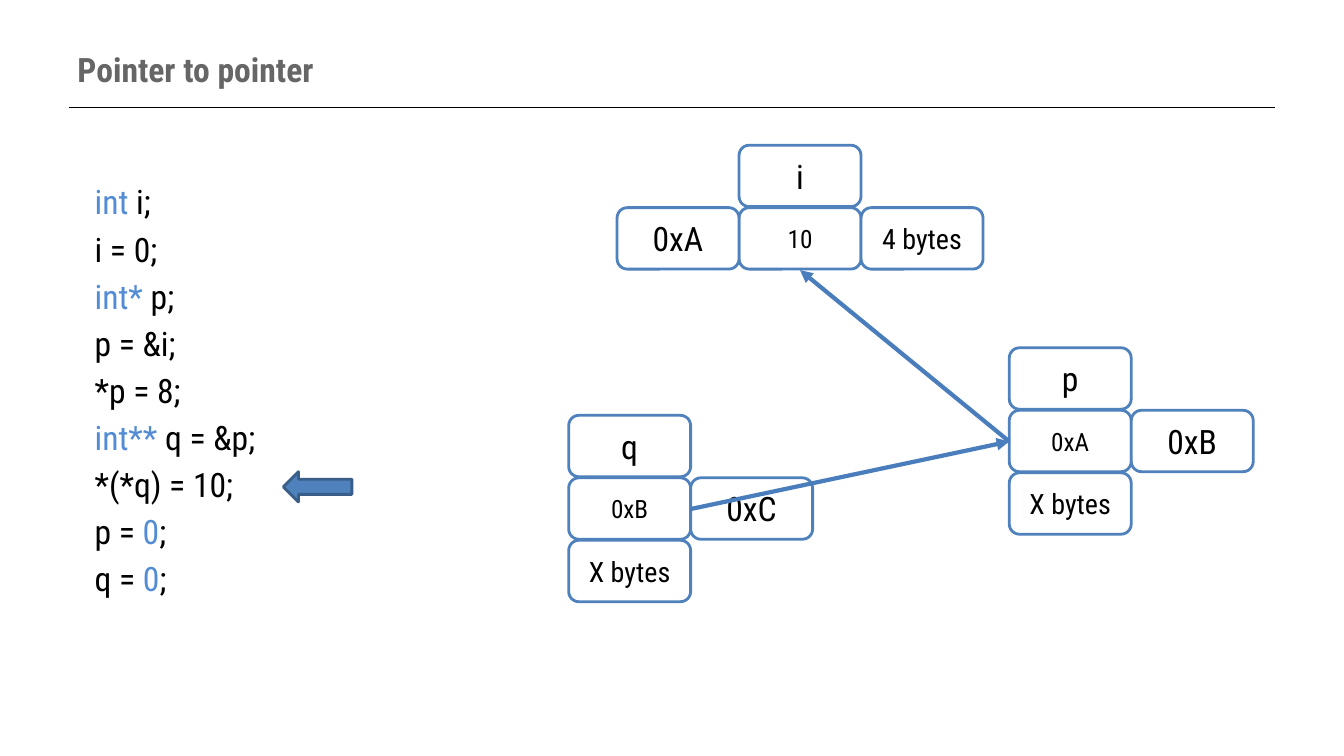
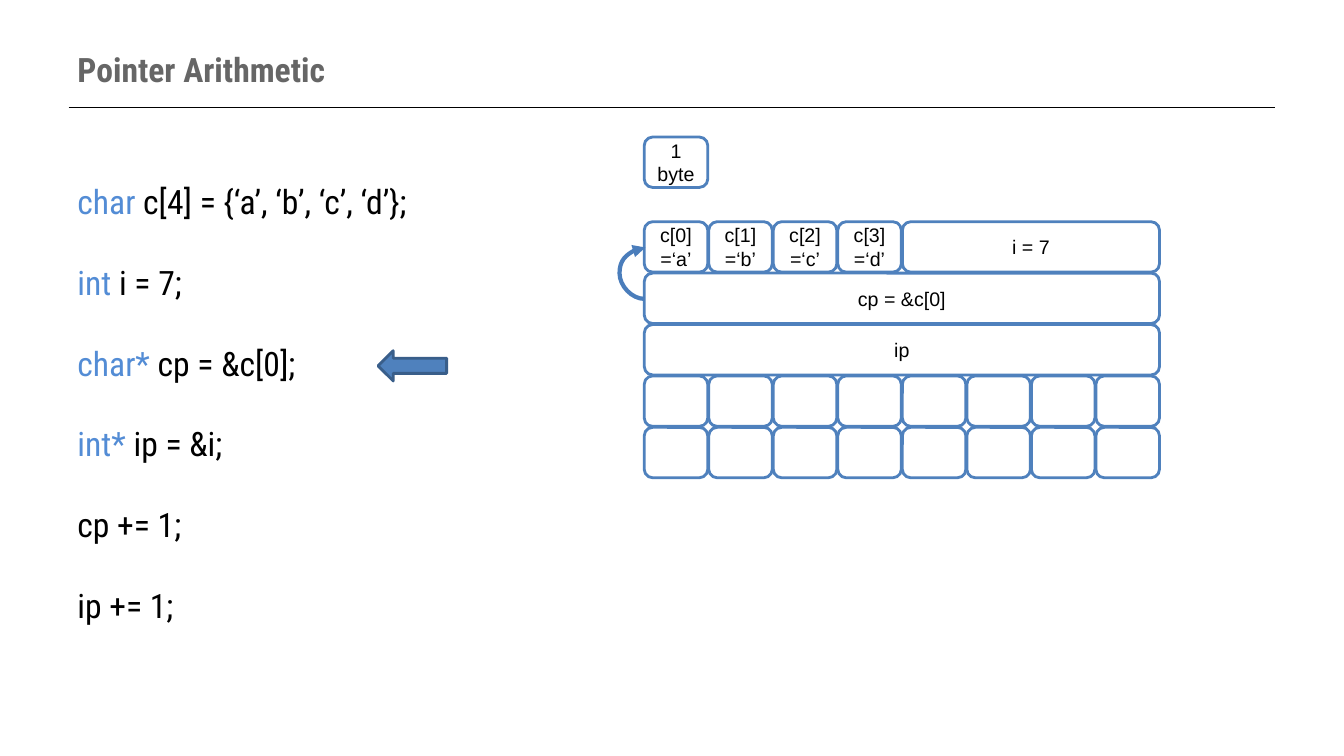
from pptx import Presentation
from pptx.dml.color import RGBColor
from pptx.enum.shapes import MSO_CONNECTOR, MSO_SHAPE
from pptx.enum.text import MSO_ANCHOR, PP_ALIGN
from pptx.oxml.ns import qn
from pptx.util import Inches, Pt
from lxml.etree import SubElement

FONT, CELL_FONT = "Roboto Condensed", "Arial"
BLACK, WHITE, GREY = "000000", "FFFFFF", "666666"
CODE_BLUE, BLUE, DARK_BLUE, ARROW_BLUE = "538CD5", "4F81BD", "395E8A", "4A7DBB"
HIGHLIGHTED = {"int", "int*", "int**", "char", "char*", "0"}

NAME_SIZE, VALUE_SIZE, NOTE_SIZE = 24, 18, 20
BOX_WIDTH, BOX_HEIGHT, BOX_ROW = 1.21, 0.61, 0.62
BYTE_LEFT, BYTE_TOP = 6.39, 2.2
BYTE_COLUMN, BYTE_ROW, BYTE_GAP = 0.64, 0.51, 0.01
BYTES_PER_ROW = 8


def colour(value):
    return RGBColor.from_string(value)


def style_span(span, size, value, font=FONT, bold=False):
    span.font.size = Pt(size)
    span.font.name = font
    span.font.bold = bold
    span.font.color.rgb = colour(value)


def style_line(line, value, width):
    line.color.rgb = colour(value)
    line.width = Pt(width)


def add_text_box(page, left, top, width, height):
    box = page.shapes.add_textbox(*map(Inches, (left, top, width, height)))
    box.text_frame.word_wrap = True
    return box.text_frame


def add_line(page, start, end, value, width, kind=MSO_CONNECTOR.STRAIGHT, arrow=True):
    line = page.shapes.add_connector(kind, *map(Inches, (*start, *end)))
    style_line(line.line, value, width)
    if arrow:
        SubElement(line.line._get_or_add_ln(), qn("a:tailEnd"), type="triangle")
    SubElement(line._element.spPr, qn("a:effectLst"))
    return line


def add_loop_arrow(page, left, top, bottom, bulge):
    width = 0.01
    loop = add_line(page, (left, top), (left + width, bottom), ARROW_BLUE, 3,
                    MSO_CONNECTOR.CURVE)
    properties = loop._element.spPr
    frame = properties.find(qn("a:xfrm"))
    frame.set("rot", "10800000")
    frame.set("flipH", "1")
    guides = properties.find(qn("a:prstGeom")).get_or_add_avLst()
    share = round(-bulge / width * 100000)
    SubElement(guides, qn("a:gd"), name="adj1", fmla=f"val {share}")


def add_shape(page, kind, left, top, width, height, fill, line):
    shape = page.shapes.add_shape(kind, *map(Inches, (left, top, width, height)))
    shape.shadow.inherit = False
    shape.fill.solid()
    shape.fill.fore_color.rgb = colour(fill)
    style_line(shape.line, line, 2)
    return shape


def add_cell(page, left, top, width, height, text, size, font=FONT):
    cell = add_shape(page, MSO_SHAPE.ROUNDED_RECTANGLE, left, top, width, height, WHITE, BLUE)
    if text:
        frame = cell.text_frame
        frame.word_wrap = True
        frame.vertical_anchor = MSO_ANCHOR.MIDDLE
        frame.text = text
        para = frame.paragraphs[0]
        para.alignment = PP_ALIGN.CENTER
        style_span(para.runs[0], size, BLACK, font)


def add_step_arrow(page, left, top):
    add_shape(page, MSO_SHAPE.LEFT_ARROW, left, top, 0.68, 0.3, BLUE, DARK_BLUE)


def add_page(deck, title):
    page = deck.slides.add_slide(deck.slide_layouts[6])
    add_line(page, (0.68, 1.07), (12.65, 1.07), BLACK, 0.75, arrow=False)
    frame = add_text_box(page, 0.67, 0.3, 12, 0.77)
    frame.vertical_anchor = MSO_ANCHOR.MIDDLE
    frame.text = title
    style_span(frame.paragraphs[0].runs[0], 24, GREY, bold=True)
    return page


def add_code(page, lines, left, spacing):
    frame = add_text_box(page, left, 1.75, 5, 4.95)
    for index, pieces in enumerate(lines):
        para = frame.add_paragraph() if index else frame.paragraphs[0]
        if index:
            para.space_before = Pt(spacing)
        for piece in pieces:
            span = para.add_run()
            span.text = piece
            style_span(span, 24, CODE_BLUE if piece.strip() in HIGHLIGHTED else BLACK)


def box_point(origin, column, row):
    return origin[0] + column * BOX_WIDTH, origin[1] + row * BOX_ROW


def add_variable(page, origin, cells):
    for column, row, text, size in cells:
        add_cell(page, *box_point(origin, column, row), BOX_WIDTH, BOX_HEIGHT, text, size)


def pointer_cells(name, value, address):
    return [
        (0, 0, name, NAME_SIZE),
        (0, 1, value, VALUE_SIZE),
        (1, 1, address, NAME_SIZE),
        (0, 2, "X bytes", NOTE_SIZE),
    ]


def add_memory_row(page, top, entries):
    column = 0
    for text, span in entries:
        add_cell(page, BYTE_LEFT + column * BYTE_COLUMN, top,
                 span * BYTE_COLUMN - BYTE_GAP, BYTE_ROW - BYTE_GAP, text, 14, CELL_FONT)
        column += span


def add_pointer_page(deck):
    page = add_page(deck, "Pointer to pointer")
    add_code(page, [
        ["int ", "i;"],
        ["i = 0;"],
        ["int* ", "p;"],
        ["p = &i;"],
        ["*p = 8;"],
        ["int** ", "q = &p;"],
        ["*(*q) = 10;"],
        ["p = ", "0", ";"],
        ["q = ", "0", ";"],
    ], 0.84, 4.8)
    add_step_arrow(page, 2.81, 4.68)
    i_origin, p_origin, q_origin = (7.33, 1.44), (10.01, 3.45), (5.64, 4.12)
    add_variable(page, i_origin, [
        (0, 0, "i", NAME_SIZE),
        (0, 1, "10", VALUE_SIZE),
        (-1, 1, "0xA", NAME_SIZE),
        (1, 1, "4 bytes", NOTE_SIZE),
    ])
    add_variable(page, p_origin, pointer_cells("p", "0xA", "0xB"))
    add_variable(page, q_origin, pointer_cells("q", "0xB", "0xC"))
    p_value = box_point(p_origin, 0, 1.5)
    add_line(page, p_value, box_point(i_origin, 0.5, 2), ARROW_BLUE, 3)
    add_line(page, box_point(q_origin, 1, 1.5), p_value, ARROW_BLUE, 3)


def add_arithmetic_page(deck):
    page = add_page(deck, "Pointer Arithmetic")
    add_code(page, [
        ["char", " c[4] = {‘a’, ‘b’, ‘c’, ‘d’};"],
        ["int", " i = 7;"],
        ["char* ", "cp = &c[0];"],
        ["int* ", "ip = &i;"],
        ["cp += 1;"],
        ["ip += 1;"],
    ], 0.67, 28.8)
    add_step_arrow(page, 3.75, 3.48)
    add_memory_row(page, 1.36, [("1 byte", 1)])
    letters = [(f"c[{index}]=‘{letter}’", 1) for index, letter in enumerate("abcd")]
    free_bytes = [("", 1)] * BYTES_PER_ROW
    memory = [
        letters + [("i = 7", 4)],
        [("cp = &c[0]", BYTES_PER_ROW)],
        [("ip", BYTES_PER_ROW)],
        free_bytes,
        free_bytes,
    ]
    for row, entries in enumerate(memory):
        add_memory_row(page, BYTE_TOP + row * BYTE_ROW, entries)
    first_middle = BYTE_TOP + BYTE_ROW / 2
    add_loop_arrow(page, BYTE_LEFT, first_middle, first_middle + BYTE_ROW, 0.25)


def main():
    deck = Presentation()
    deck.slide_width, deck.slide_height = Inches(13.33), Inches(7.5)
    add_pointer_page(deck)
    add_arithmetic_page(deck)
    deck.save("out.pptx")


if __name__ == "__main__":
    main()
